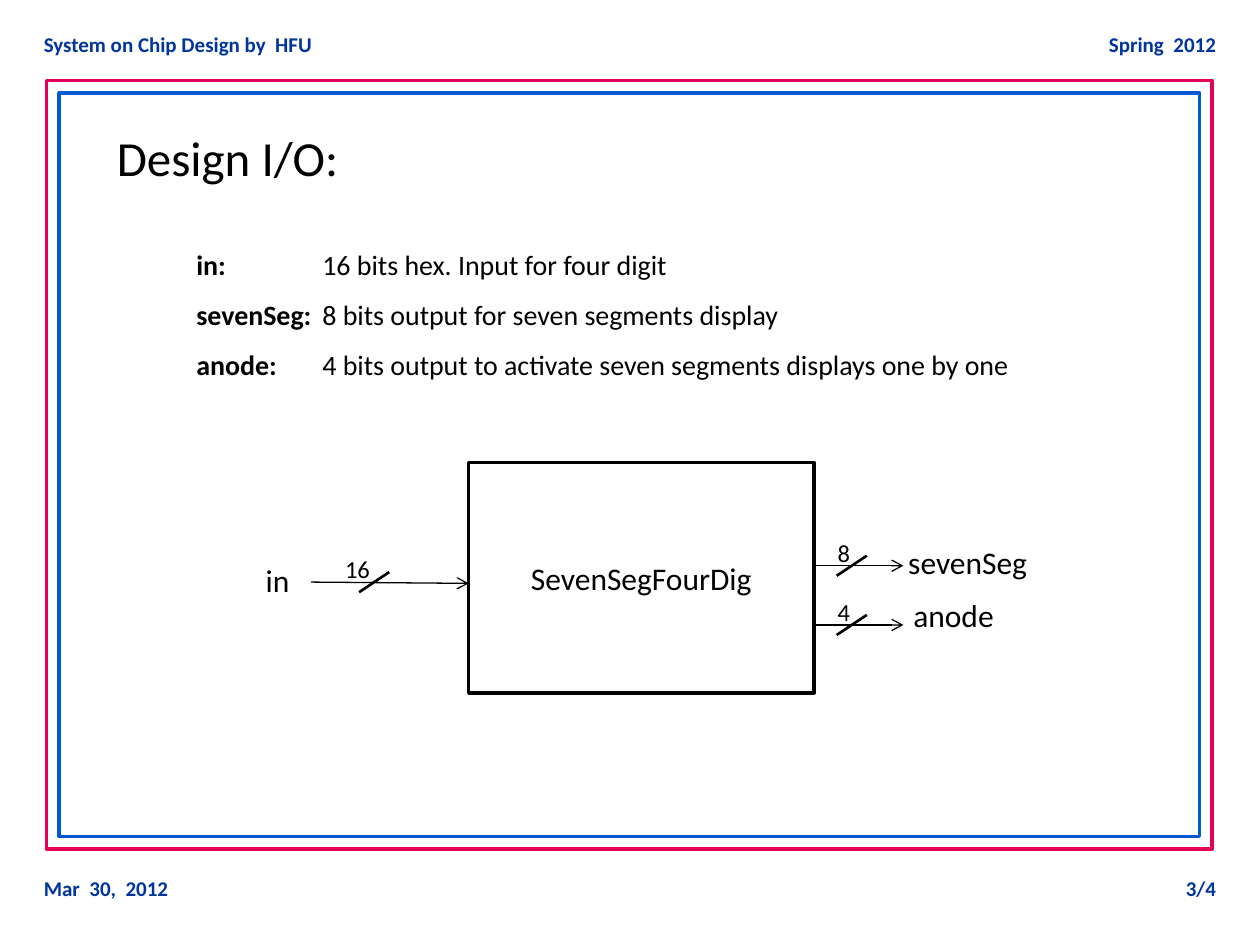
import pptx
import pptx.dml.color
import pptx.enum.shapes
import pptx.enum.text
import pptx.oxml
import pptx.oxml.ns
import pptx.util

Inches = pptx.util.Inches
ALIGN = pptx.enum.text.PP_ALIGN
ANCHOR = pptx.enum.text.MSO_ANCHOR
NAVY, PINK, BLUE, BLACK = "00349E", "E40059", "005BD3", "000000"


def color(hex_code):
    return pptx.dml.color.RGBColor.from_string(hex_code)


def write(frame, paragraphs, size=18, ink=BLACK, bold=False, align=ALIGN.LEFT,
          spacing=None, wrap=False, anchor=ANCHOR.TOP, tab=None):
    frame.word_wrap = wrap
    frame.vertical_anchor = anchor
    for index, runs in enumerate(paragraphs):
        paragraph = frame.add_paragraph() if index else frame.paragraphs[0]
        paragraph.alignment = align
        if spacing:
            paragraph.line_spacing = spacing
        if tab:
            paragraph._p.get_or_add_pPr().append(pptx.oxml.parse_xml(
                '<a:tabLst %s><a:tab pos="%d" algn="l"/></a:tabLst>'
                % (pptx.oxml.ns.nsdecls("a"), Inches(tab))))
        for words, strong in runs:
            run = paragraph.add_run()
            run.text = words
            run.font.name = "Calibri"
            run.font.size = pptx.util.Pt(size)
            run.font.bold = strong or bold
            run.font.color.rgb = color(ink)


def label(slide, box, words, **style):
    frame = slide.shapes.add_textbox(*map(Inches, box)).text_frame
    write(frame, [[(words, False)]], **style)


def outline(slide, box, ink):
    rect = slide.shapes.add_shape(
        pptx.enum.shapes.MSO_SHAPE.RECTANGLE, *map(Inches, box))
    rect.shadow.inherit = False
    rect.fill.background()
    rect.line.color.rgb = color(ink)
    rect.line.width = pptx.util.Pt(2)
    return rect


def line(slide, start, end, width, arrow=False):
    connector = slide.shapes.add_connector(
        pptx.enum.shapes.MSO_CONNECTOR.STRAIGHT, *map(Inches, (*start, *end)))
    connector.line.color.rgb = color(BLACK)
    connector.line.width = pptx.util.Pt(width)
    properties = connector._element.spPr
    if arrow:
        tail = pptx.oxml.parse_xml(
            '<a:tailEnd %s type="arrow"/>' % pptx.oxml.ns.nsdecls("a"))
        connector.line._get_or_add_ln().append(tail)
    properties.append(pptx.oxml.parse_xml(
        "<a:effectLst %s/>" % pptx.oxml.ns.nsdecls("a")))


def page_frame(slide, box):
    left, top, width, height = box
    for inset, ink in ((0, PINK), (0.1, BLUE)):
        outline(slide, (left + inset, top + inset,
                        width - 2 * inset, height - 2 * inset), ink)


def margin_line(slide, box, left_words, right_words):
    for words, align in ((left_words, ALIGN.LEFT), (right_words, ALIGN.RIGHT)):
        label(slide, box, words, size=12, ink=NAVY, bold=True,
              align=align, wrap=True)


def port_list(slide, box, ports):
    frame = slide.shapes.add_textbox(*map(Inches, box)).text_frame
    write(frame, [[(name + ":", True), ("\t" + purpose, False)]
                  for name, purpose in ports],
          size=16, spacing=1.5, wrap=True, tab=1)


def bus(slide, start, length, bits, bits_at, slash_at, drop=0):
    x, y = start
    line(slide, start, (x + length, y + drop), 0.75, arrow=True)
    middle = x + slash_at
    line(slide, (middle + 0.12, y - 0.08), (middle - 0.12, y + 0.08), 1.5)
    width = 0.2 + 0.1 * len(bits)
    label(slide, (x + bits_at - width / 2, y - 0.27, width, 0.34), bits, size=14)


def block_diagram(slide, box):
    left, top, width, height = box
    right = left + width
    module = outline(slide, box, BLACK)
    write(module.text_frame, [[("SevenSegFourDig", False)]],
          align=ALIGN.CENTER, anchor=ANCHOR.MIDDLE)
    label(slide, (left - 1.71, top + 0.73, 0.39, 0.4), "in")
    bus(slide, (left - 1.25, top + 0.95), 1.25, "16", 0.37, 0.5, drop=0.01)
    outputs = (("sevenSeg", "8", 0.82, 0.65, 0.59, 1.16),
               ("anode", "4", 1.29, 0.69, 1.01, 0.85))
    for name, bits, wire_y, name_x, name_y, name_width in outputs:
        bus(slide, (right, top + wire_y), 0.71, bits, 0.24, 0.3)
        label(slide, (right + name_x, top + name_y, name_width, 0.4), name)


def main():
    deck = pptx.Presentation()
    deck.slide_width, deck.slide_height = Inches(10), Inches(7.5)
    slide = deck.slides.add_slide(deck.slide_layouts[6])
    page_frame(slide, (0.37, 0.64, 9.25, 6.1))
    margin_line(slide, (0.25, 0.2, 9.5, 0.3),
                "System on Chip Design by  HFU", "Spring  2012")
    margin_line(slide, (0.25, 6.9, 9.5, 0.3), "Mar  30,  2012", "3/4")
    label(slide, (0.83, 0.96, 2.5, 0.57), "Design I/O:", size=28, wrap=True)
    port_list(slide, (1.46, 1.78, 7.32, 1.31), (
        ("in", "16 bits hex. Input for four digit"),
        ("sevenSeg", "8 bits output for seven segments display"),
        ("anode", "4 bits output to activate seven segments displays one by one"),
    ))
    block_diagram(slide, (3.72, 3.67, 2.74, 1.83))
    deck.save("out.pptx")


main()
